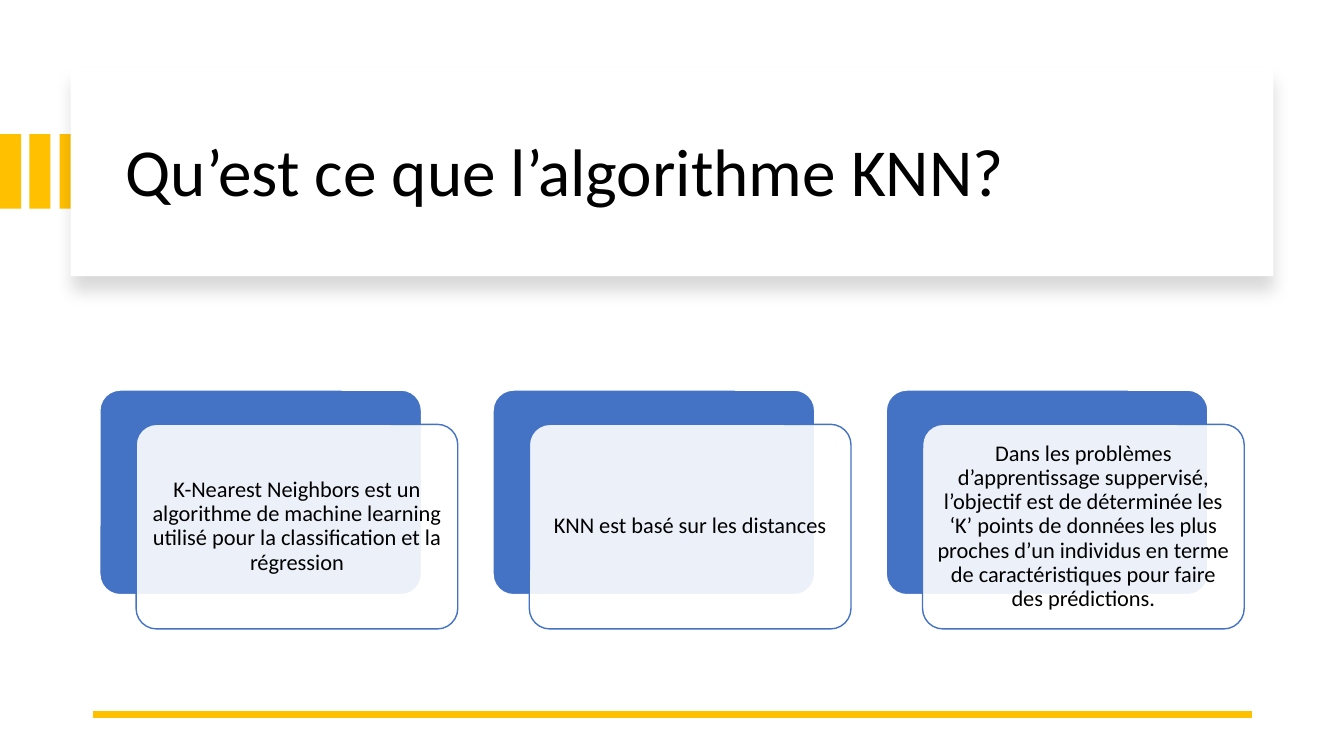
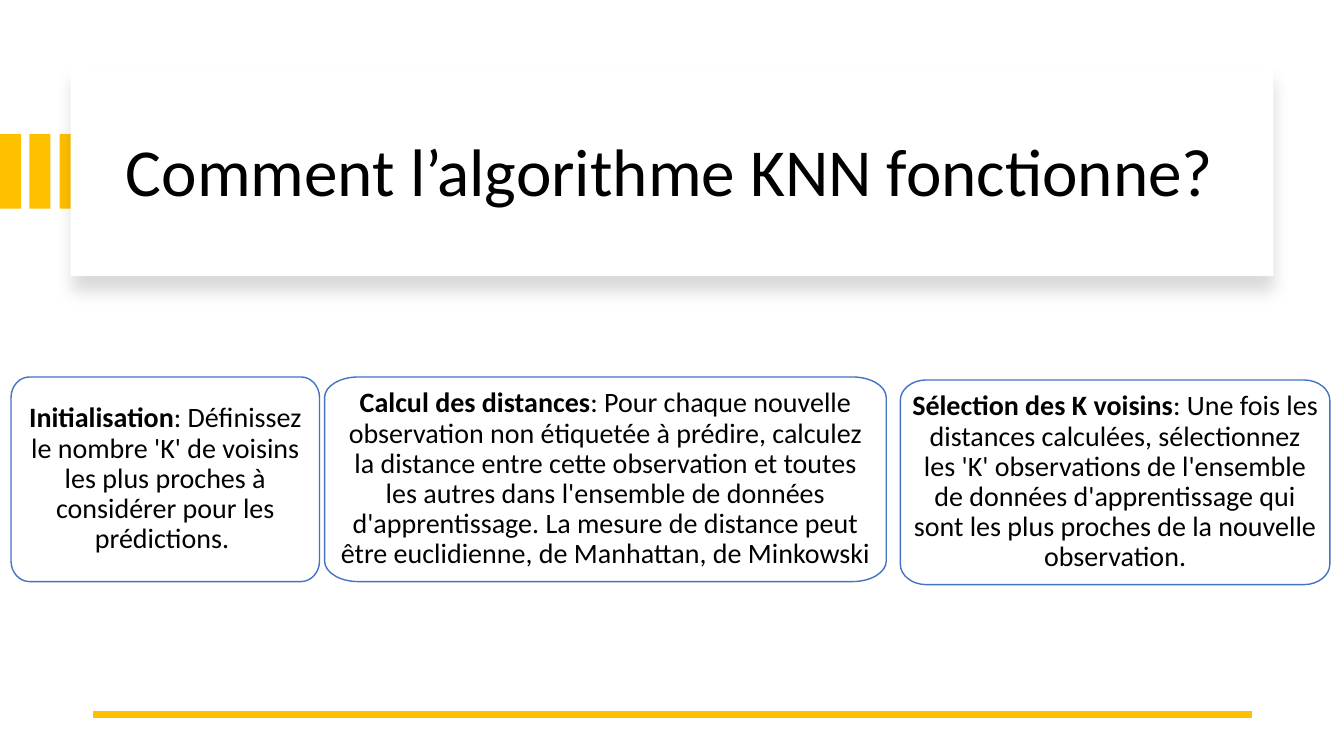
"""Build two slides that introduce the KNN algorithm."""
from lxml.etree import SubElement
from pptx import Presentation
from pptx.dml.color import RGBColor
from pptx.enum.shapes import MSO_CONNECTOR, MSO_SHAPE
from pptx.enum.text import MSO_ANCHOR, PP_ALIGN
from pptx.oxml.ns import qn
from pptx.util import Inches, Pt

GOLD, BLUE, WHITE, BLACK = "FFC000", "4472C4", "FFFFFF", "000000"
FONT = "Calibri"
CARD_HEIGHT = 2.03


def paint(shape, fill, line=None, opacity=100):
    shape.shadow.inherit = False
    shape.fill.solid()
    shape.fill.fore_color.rgb = RGBColor.from_string(fill)
    if opacity < 100:
        color = shape.fill._xPr.find(qn("a:solidFill"))[0]
        SubElement(color, qn("a:alpha"), val=str(opacity * 1000))
    if line:
        shape.line.color.rgb = RGBColor.from_string(line)
        shape.line.width = Pt(1)
    else:
        shape.line.fill.background()


def write(shape, runs, size, align, inset_x, inset_y):
    frame = shape.text_frame
    frame.word_wrap = True
    frame.vertical_anchor = MSO_ANCHOR.MIDDLE
    frame.margin_left = frame.margin_right = Inches(inset_x)
    frame.margin_top = frame.margin_bottom = Inches(inset_y)
    paragraph = frame.paragraphs[0]
    paragraph.alignment = align
    paragraph.line_spacing = 0.9
    for text, bold in runs:
        span = paragraph.add_run()
        span.text = text
        span.font.name = FONT
        span.font.size = Pt(size)
        span.font.bold = bold
        span.font.color.rgb = RGBColor.from_string(BLACK)


deck = Presentation()
deck.slide_width, deck.slide_height = Inches(13.33), Inches(7.5)

pages = []
for title in ("Qu’est ce que l’algorithme KNN?", "Comment l’algorithme KNN fonctionne?"):
    page = deck.slides.add_slide(deck.slide_layouts[6])
    pages.append(page)
    for left in (0, 0.29, 0.59):
        stripe = page.shapes.add_shape(
            MSO_SHAPE.RECTANGLE, Inches(left), Inches(1.33), Inches(0.21), Inches(0.74))
        paint(stripe, GOLD)

    panel = page.shapes.add_shape(
        MSO_SHAPE.RECTANGLE, Inches(0.7), Inches(0.67), Inches(11.93), Inches(2.07))
    paint(panel, WHITE)
    effects = panel._element.spPr.find(qn("a:effectLst"))
    shadow = SubElement(effects, qn("a:outerShdw"), blurRad=str(Pt(11)), dist=str(Pt(10)),
                        dir=str(90 * 60000), algn="t", rotWithShape="0")
    shade = SubElement(shadow, qn("a:srgbClr"), val=BLACK)
    SubElement(shade, qn("a:alpha"), val="15000")

    heading = page.shapes.add_textbox(Inches(1.15), Inches(0.88), Inches(11.13), Inches(1.7))
    write(heading, [(title, False)], 48, PP_ALIGN.LEFT, 0.1, 0.05)

    rule = page.shapes.add_connector(
        MSO_CONNECTOR.STRAIGHT, Inches(12.42), Inches(7.09), Inches(0.92), Inches(7.09))
    rule.line.color.rgb = RGBColor.from_string(GOLD)
    rule.line.width = Pt(4.5)
    SubElement(rule._element.spPr, qn("a:effectLst"))

definition_page, steps_page = pages

definitions = [
    "K-Nearest Neighbors est un algorithme de machine learning utilisé pour la "
    "classification et la régression",
    "KNN est basé sur les distances",
    "Dans les problèmes d’apprentissage suppervisé, l’objectif est de déterminée les "
    "‘K’ points de données les plus proches d’un individus en terme de "
    "caractéristiques pour faire des prédictions.",
]
for column, definition in enumerate(definitions):
    left = 0.99 + column * 3.9
    for x, y, fill, line, opacity in ((left, 3.87, BLUE, WHITE, 100),
                                      (left + 0.36, 4.21, WHITE, BLUE, 90)):
        card = definition_page.shapes.add_shape(
            MSO_SHAPE.ROUNDED_RECTANGLE, Inches(x), Inches(y), Inches(3.19), Inches(CARD_HEIGHT))
        card.adjustments[0] = 0.1
        paint(card, fill, line, opacity)
    write(card, [(definition, False)], 16, PP_ALIGN.CENTER, 0.07, 0.07)

steps = [
    (0.11, 3.74, 3.06, 0.11, "Initialisation",
     ": Définissez le nombre 'K' de voisins les plus proches à considérer pour les "
     "prédictions. "),
    (3.22, 3.74, 5.57, 0.12, "Calcul des distances",
     ": Pour chaque nouvelle observation non étiquetée à prédire, calculez la distance "
     "entre cette observation et toutes les autres dans l'ensemble de données "
     "d'apprentissage. La mesure de distance peut être euclidienne, de Manhattan, "
     "de Minkowski"),
    (8.93, 3.77, 4.26, 0.11, "Sélection des K voisins",
     ": Une fois les distances calculées, sélectionnez les 'K' observations de "
     "l'ensemble de données d'apprentissage qui sont les plus proches de la nouvelle "
     "observation."),
]
CURVE = 0.55
for left, top, width, inset, name, detail in steps:
    right, bottom = left + width, top + CARD_HEIGHT
    radius_x, radius_y = width * 0.06, CARD_HEIGHT * 0.1
    corners = [
        ((left, top), (0, radius_y), (radius_x, 0)),
        ((right, top), (-radius_x, 0), (0, radius_y)),
        ((right, bottom), (0, -radius_y), (-radius_x, 0)),
        ((left, bottom), (radius_x, 0), (0, -radius_y)),
    ]
    outline = []
    for (x, y), before, after in corners:
        for (shift_x, shift_y), share in ((before, 1), (before, 1 - CURVE),
                                          (after, 1 - CURVE), (after, 1)):
            outline.append((Inches(x + shift_x * share), Inches(y + shift_y * share)))
    builder = steps_page.shapes.build_freeform(*outline[0])
    builder.add_line_segments(outline[1:], close=True)
    card = builder.convert_to_shape()
    segments = list(card._element.iter(qn("a:lnTo")))
    for first in range(0, len(outline), 4):
        bend = segments[first]
        bend.tag = qn("a:cubicBezTo")
        for segment in segments[first + 1:first + 3]:
            bend.append(segment[0])
            segment.getparent().remove(segment)
    paint(card, WHITE, BLUE, 90)
    write(card, [(name, True), (detail, False)], 20, PP_ALIGN.CENTER, inset, 0.11)

deck.save("out.pptx")
